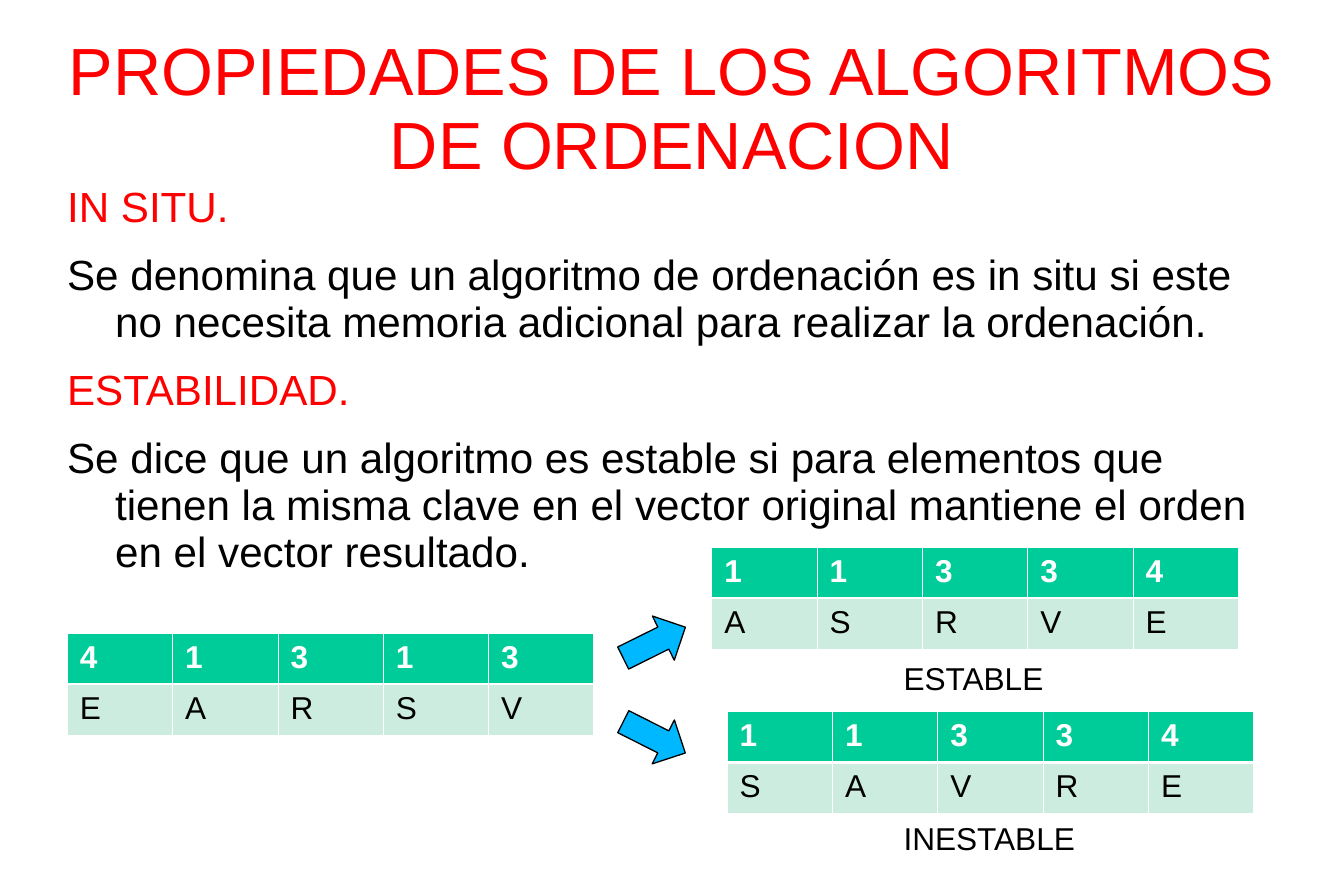
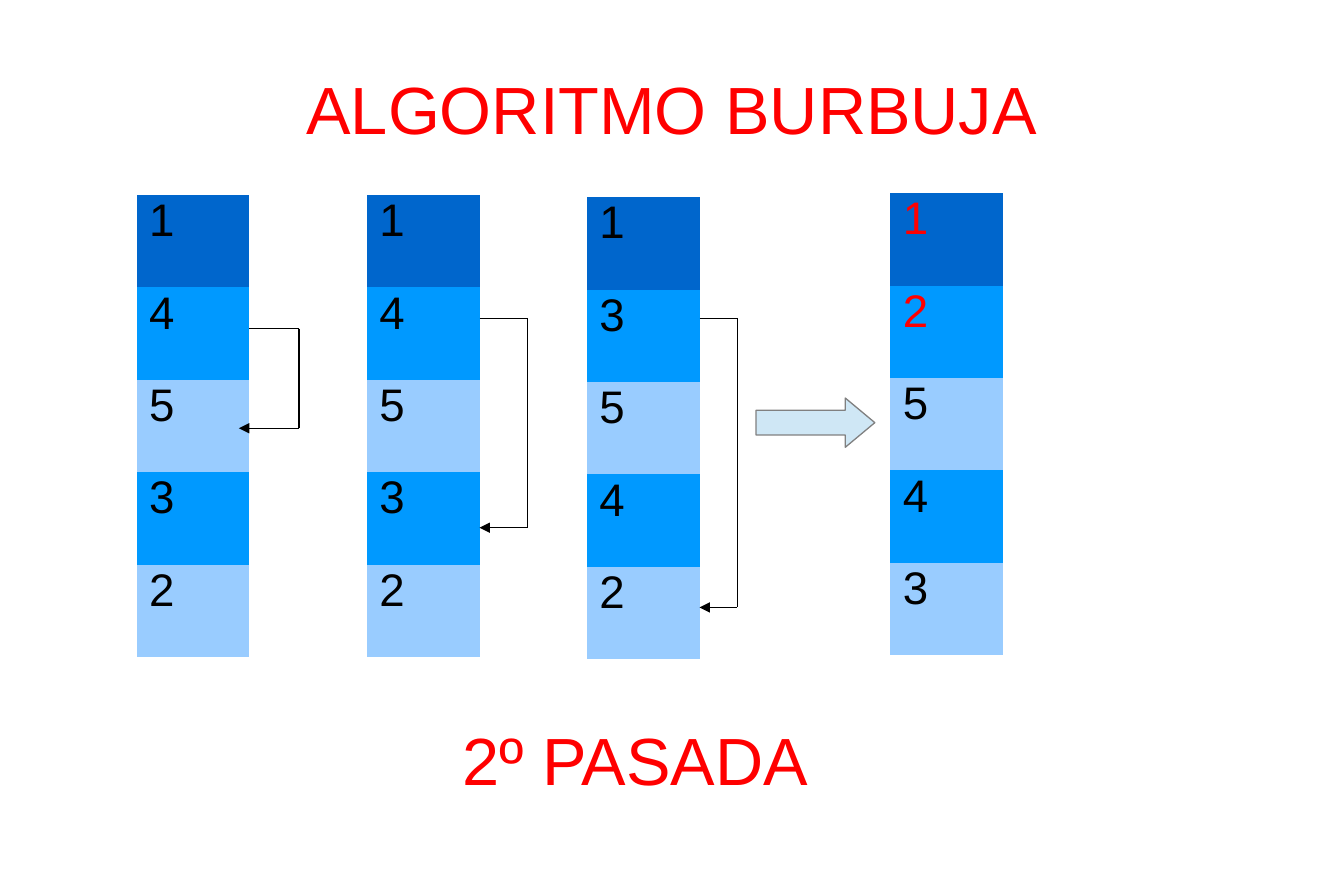
from lxml.etree import SubElement
from pptx import Presentation
from pptx.dml.color import RGBColor
from pptx.enum.shapes import MSO_CONNECTOR, MSO_SHAPE
from pptx.enum.text import MSO_ANCHOR, PP_ALIGN
from pptx.oxml.ns import qn
from pptx.util import Inches, Pt

FONT = "Arial"
COLORS = {name: RGBColor.from_string(value) for name, value in {
    "red": "FF0000", "black": "000000", "white": "FFFFFF", "gray": "808080",
    "green": "00CC99", "mint": "CBECDE", "cyan": "00B8FF", "ice": "CFE7F5",
    "navy": "0066CC", "blue": "0099FF", "sky": "99CCFF",
}.items()}
PLAIN_TABLE = "{2D5ABB26-0587-4C30-8999-92F81FD0307C}"
HEADING = {"size": 38, "align": PP_ALIGN.CENTER, "anchor": MSO_ANCHOR.MIDDLE}

prs = Presentation()
prs.slide_width, prs.slide_height = Inches(10.63), Inches(7.09)
blank = prs.slide_layouts[6]


def place(*shares):
    """Turn x, y pairs in percent of the slide into slide lengths."""
    sides = (prs.slide_width, prs.slide_height)
    return [int(sides[i % 2] * share / 100) for i, share in enumerate(shares)]


def add_text(s, box, lines, size, align=PP_ALIGN.LEFT, anchor=MSO_ANCHOR.TOP,
             inset=(0, 0), hanging=0, after=0):
    """Add a text box; lines are (text, colour) pairs, inset is side and top."""
    tf = s.shapes.add_textbox(*place(*box)).text_frame
    tf.word_wrap = True
    tf.vertical_anchor = anchor
    tf.margin_left = tf.margin_right = Inches(inset[0])
    tf.margin_top, tf.margin_bottom = Inches(inset[1]), Inches(inset[0] / 2)
    for i, (text, color) in enumerate(lines):
        p = tf.add_paragraph() if i else tf.paragraphs[0]
        p.text = text
        p.alignment, p.line_spacing, p.space_after = align, 0.93, Pt(after)
        if hanging:
            pPr = p._p.get_or_add_pPr()
            pPr.set("marL", str(Inches(hanging)))
            pPr.set("indent", str(-Inches(hanging)))
        font = p.runs[0].font
        font.name, font.size = FONT, Pt(size)
        font.color.rgb = COLORS[color]


# Titles
properties, bubble = [prs.slides.add_slide(blank) for _ in range(2)]
for s, title, top in (
    (properties, "PROPIEDADES DE LOS ALGORITMOS DE ORDENACION", 0),
    (bubble, "ALGORITMO BURBUJA", 0.04),
):
    add_text(s, (5, 3.95, 90, 16.65), [(title, "red")], inset=(0, top), **HEADING)

# Texts
add_text(properties, (5, 20.17, 90, 65.9), [
    ("IN SITU.", "red"),
    ("Se denomina que un algoritmo de ordenación es in situ si este no necesita "
     "memoria adicional para realizar la ordenación.", "black"),
    ("ESTABILIDAD.", "red"),
    ("Se dice que un algoritmo es estable si para elementos que tienen la misma "
     "clave en el vector original mantiene el orden en el vector resultado.", "black"),
], 24, inset=(0, 0.03), hanging=0.38, after=12.1)
for label, y in (("ESTABLE", 73.2), ("INESTABLE", 91.1)):
    add_text(properties, (66.3, y, 14.9, 5.4), [(label, "black")], 18,
             inset=(0.1, 0.05))
add_text(bubble, (2.26, 76.6, 90, 16.65), [("2º PASADA", "red")],
         inset=(0, 0.04), **HEADING)

# Tables: key over letter on the first slide, one column of values on the second
PAIR = {"size": (39.2, 11.4), "fills": ("green", "mint"), "pt": 18, "spacing": 1,
        "text": ("white", "black"), "ruled": True}
STACK = {"size": (8.4, 51.6), "fills": ("navy", "blue", "sky", "blue", "sky"),
         "pt": 26, "spacing": 0.87, "text": ("black",) * 5, "ruled": False}
SORTED = {**STACK, "text": ("red", "red", "black", "black", "black")}
for s, x, y, rows, look in (
    (properties, 5, 70.66, ("41313", "EARSV"), PAIR),
    (properties, 52.96, 61.07, ("11334", "ASRVE"), PAIR),
    (properties, 54.1, 79.41, ("11334", "SAVRE"), PAIR),
    (bubble, 10.16, 21.75, "14532", STACK),
    (bubble, 27.28, 21.75, "14532", STACK),
    (bubble, 43.65, 22, "13542", STACK),
    (bubble, 66.23, 21.55, "12543", SORTED),
):
    frame = s.shapes.add_table(len(rows), len(rows[0]), *place(x, y, *look["size"]))
    table = frame.table
    table._tbl.tblPr.find(qn("a:tableStyleId")).text = PLAIN_TABLE
    table.horz_banding = False
    for i, row in enumerate(rows):
        for j, text in enumerate(row):
            cell = table.cell(i, j)
            if look["ruled"]:
                tcPr = cell._tc.get_or_add_tcPr()
                inner = "lnT" if i else "lnB"
                for side in ("lnL", "lnR", "lnT", "lnB"):
                    width = Pt(1.47 if side == inner else 0.45)
                    ln = SubElement(tcPr, qn(f"a:{side}"), w=str(width))
                    fill = SubElement(ln, qn("a:solidFill"))
                    SubElement(fill, qn("a:srgbClr"), val=str(COLORS["white"]))
            cell.fill.solid()
            cell.fill.fore_color.rgb = COLORS[look["fills"][i]]
            cell.text = text
            p = cell.text_frame.paragraphs[0]
            p.line_spacing = look["spacing"]
            font = p.runs[0].font
            font.name, font.size = FONT, Pt(look["pt"])
            font.bold = look["ruled"] and i == 0
            font.color.rgb = COLORS[look["text"][i]]

# Block arrows
for s, box, angle, head, fill, line in (
    (properties, (46.1, 68.97, 5.17, 5.5), 333.6, 0.5, "cyan", "black"),
    (properties, (46.1, 79.55, 5.17, 5.5), 26.8, 0.5, "cyan", "black"),
    (bubble, (56.25, 44.43, 8.84, 5.5), 0, 0.6, "ice", "gray"),
):
    sp = s.shapes.add_shape(MSO_SHAPE.RIGHT_ARROW, *place(*box))
    sp.rotation = angle
    sp.adjustments[1] = head
    sp.shadow.inherit = False
    sp.fill.solid()
    sp.fill.fore_color.rgb = COLORS[fill]
    sp.line.color.rgb = COLORS[line]
    sp.line.width = Pt(0.75)

# Swap brackets: out of one cell, down, and back to the cell compared with it
for start, elbow, tip, top, bottom in (
    (18.56, 22.25, 17.78, 36.67, 47.8),
    (35.68, 39.25, 35.68, 35.54, 58.9),
    (52.05, 54.85, 52.05, 35.54, 67.8),
):
    corners = [(start, top), (elbow, top), (elbow, bottom), (tip, bottom)]
    for a, b in zip(corners, corners[1:]):
        line = bubble.shapes.add_connector(MSO_CONNECTOR.STRAIGHT, *place(*a, *b))
        line.line.color.rgb = COLORS["black"]
        line.line.width = Pt(0.75)
        if b == corners[-1]:
            SubElement(line.line._get_or_add_ln(), qn("a:tailEnd"), type="triangle")
        SubElement(line._element.spPr, qn("a:effectLst"))

prs.save("out.pptx")
